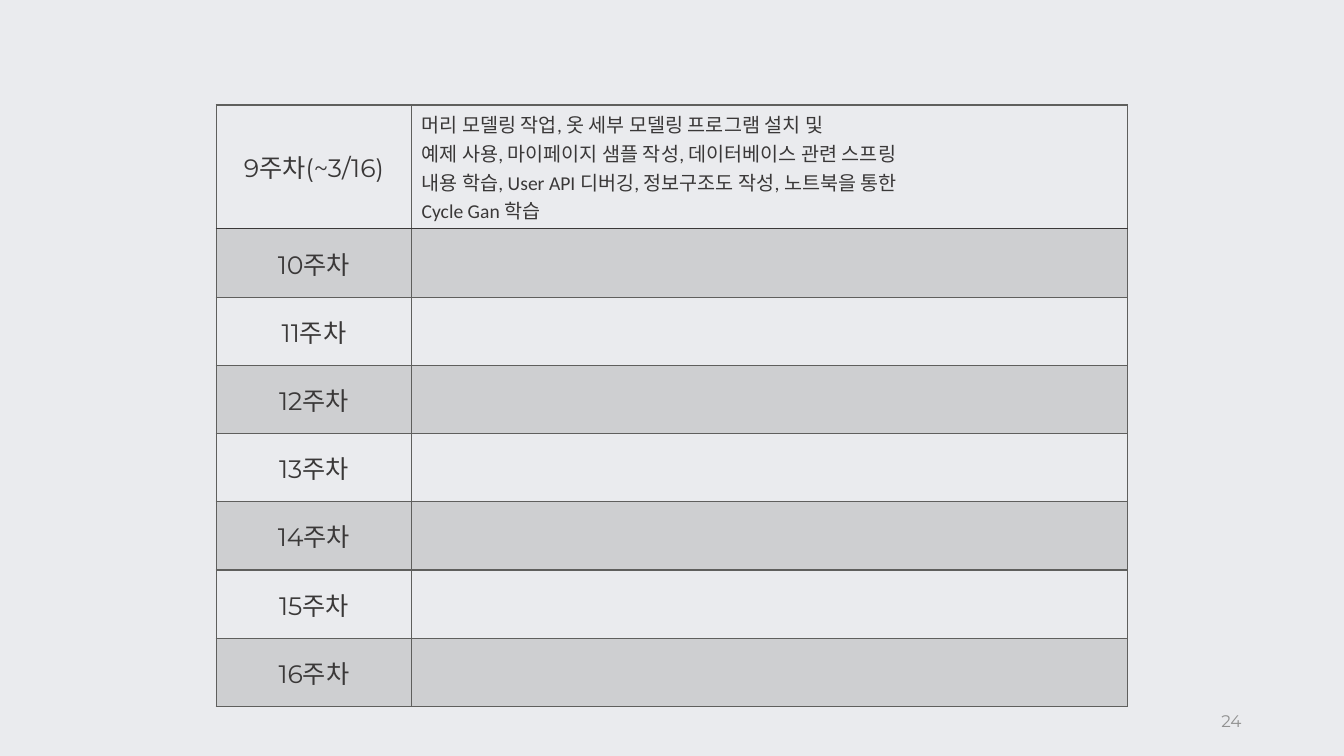
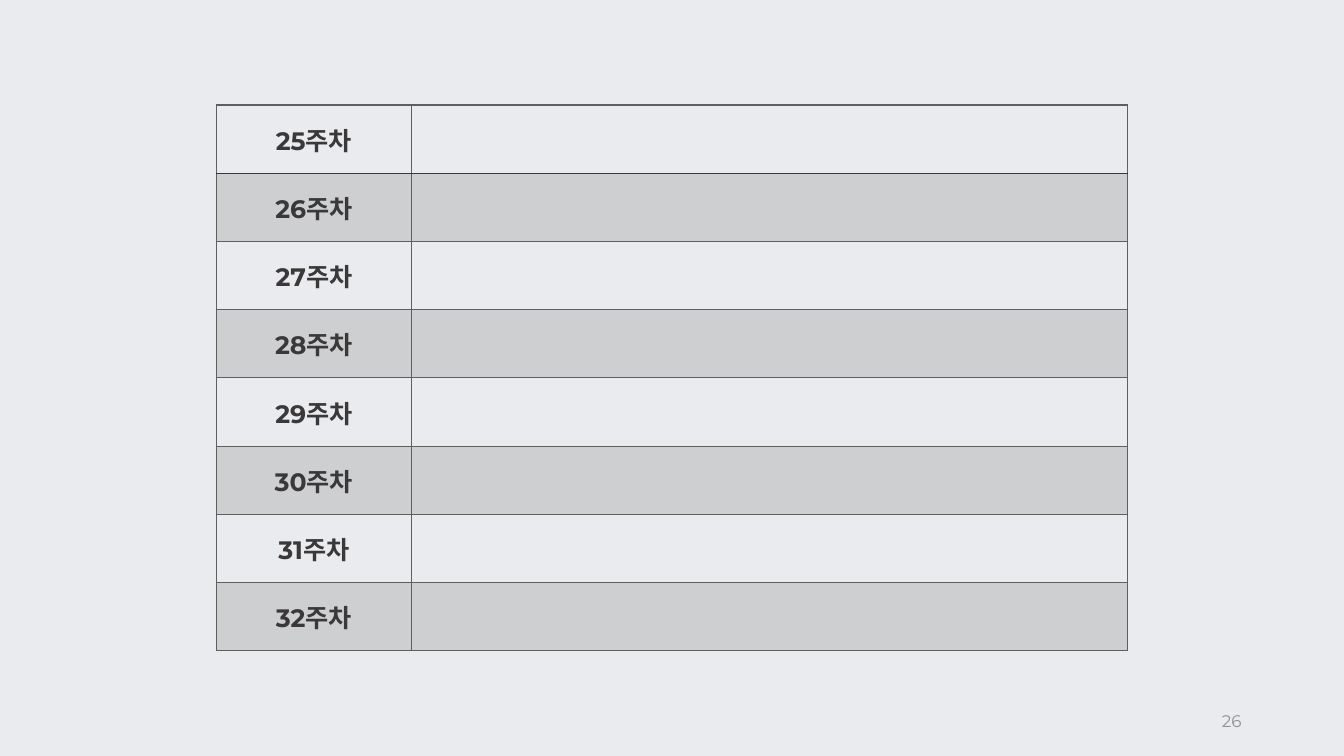
from lxml import etree
from pptx import Presentation
from pptx.dml.color import RGBColor
from pptx.enum.text import MSO_ANCHOR, PP_ALIGN
from pptx.oxml.ns import qn
from pptx.util import Pt

MIDDLE = MSO_ANCHOR.MIDDLE
LEFT, CENTER, RIGHT = PP_ALIGN.LEFT, PP_ALIGN.CENTER, PP_ALIGN.RIGHT

PX = 9525  # EMU per px, 96 px to the inch
BACK, INK, GRAY, PALE = "EAEBEE", "3A3838", "5F5F5D", "919191"
HEAD, BODY = "Montserrat", "Calibri"
ROW = 65


def px(n):
    return n * PX


def rgb(code):
    return RGBColor.from_string(code)


class Deck:
    def __init__(self):
        self.prs = Presentation()
        self.prs.slide_width, self.prs.slide_height = px(1280), px(720)
        self.slide = None

    def page(self, num):
        """Start a slide with its background and page number."""
        self.slide = self.prs.slides.add_slide(self.prs.slide_layouts[6])
        fill = self.slide.background.fill
        fill.solid()
        fill.fore_color.rgb = rgb(BACK)
        box = self.slide.shapes.add_textbox(px(904), px(667), px(288), px(38))
        frame = box.text_frame
        frame.word_wrap = True
        frame.vertical_anchor = MIDDLE
        self.text(frame, [str(num)], 12, HEAD, PALE, RIGHT)

    def text(self, frame, lines, size, face, color=INK, align=LEFT, bold=False):
        for i, line in enumerate(lines):
            para = frame.paragraphs[0] if i == 0 else frame.add_paragraph()
            para.alignment = align
            run = para.add_run()
            run.text = line
            font = run.font
            font.size, font.name, font.bold = Pt(size), face, bold
            font.color.rgb = rgb(color)

    def shade(self, cell, on):
        """Tint a cell at 20 % opacity, or leave it clear."""
        if not on:
            cell.fill.background()
            return
        cell.fill.solid()
        cell.fill.fore_color.rgb = rgb(GRAY)
        tone = next(cell._tc.tcPr.iter(qn("a:srgbClr")))
        etree.SubElement(tone, qn("a:alpha"), val="20000")

    def border(self, cell, top=GRAY, base=GRAY):
        sides = {"lnL": GRAY, "lnR": GRAY, "lnT": top, "lnB": base}
        props = cell._tc.get_or_add_tcPr()
        for i, (side, color) in enumerate(sides.items()):
            line = etree.Element(qn("a:" + side), w=str(Pt(1)))
            fill = etree.SubElement(line, qn("a:solidFill"))
            etree.SubElement(fill, qn("a:srgbClr"), val=color)
            props.insert(i, line)

    def table(self, rows, bold=False):
        """Draw (week, task lines, row height) rows, every second one tinted."""
        widths = (186, 682)
        high = sum(row[2] for row in rows)
        grid = self.slide.shapes.add_table(
            len(rows), 2, px(206), px(100), px(sum(widths)), px(high)).table
        grid.first_row = grid.horz_banding = False
        for col, width in zip(grid.columns, widths):
            col.width = px(width)
        for i, (week, tasks, tall) in enumerate(rows):
            grid.rows[i].height = px(tall)
            left, right = grid.cell(i, 0), grid.cell(i, 1)
            for cell in (left, right):
                cell.vertical_anchor = MIDDLE
                self.shade(cell, i % 2 == 1)
                # The rule under the first row is darker
                self.border(cell, INK if i == 1 else GRAY,
                            INK if i == 0 else GRAY)
            self.text(left.text_frame, [week], 18, HEAD, INK, CENTER, bold)
            self.text(right.text_frame, tasks, 14, BODY)


def weeks(first, last):
    return [(f"{n}주차", [], ROW) for n in range(first, last + 1)]


def main():
    deck = Deck()

    # Weeks 9 to 16
    tasks = [
        "머리 모델링 작업, 옷 세부 모델링 프로그램 설치 및",
        "예제 사용, 마이페이지 샘플 작성, 데이터베이스 관련 스프링",
        "내용 학습, User API 디버깅, 정보구조도 작성, 노트북을 통한",
        "Cycle Gan 학습",
    ]
    deck.page(24)
    deck.table([("9주차(~3/16)", tasks, 118)] + weeks(10, 16))

    # Weeks 25 to 32
    deck.page(26)
    deck.table(weeks(25, 32), bold=True)

    deck.prs.save("out.pptx")


if __name__ == "__main__":
    main()
